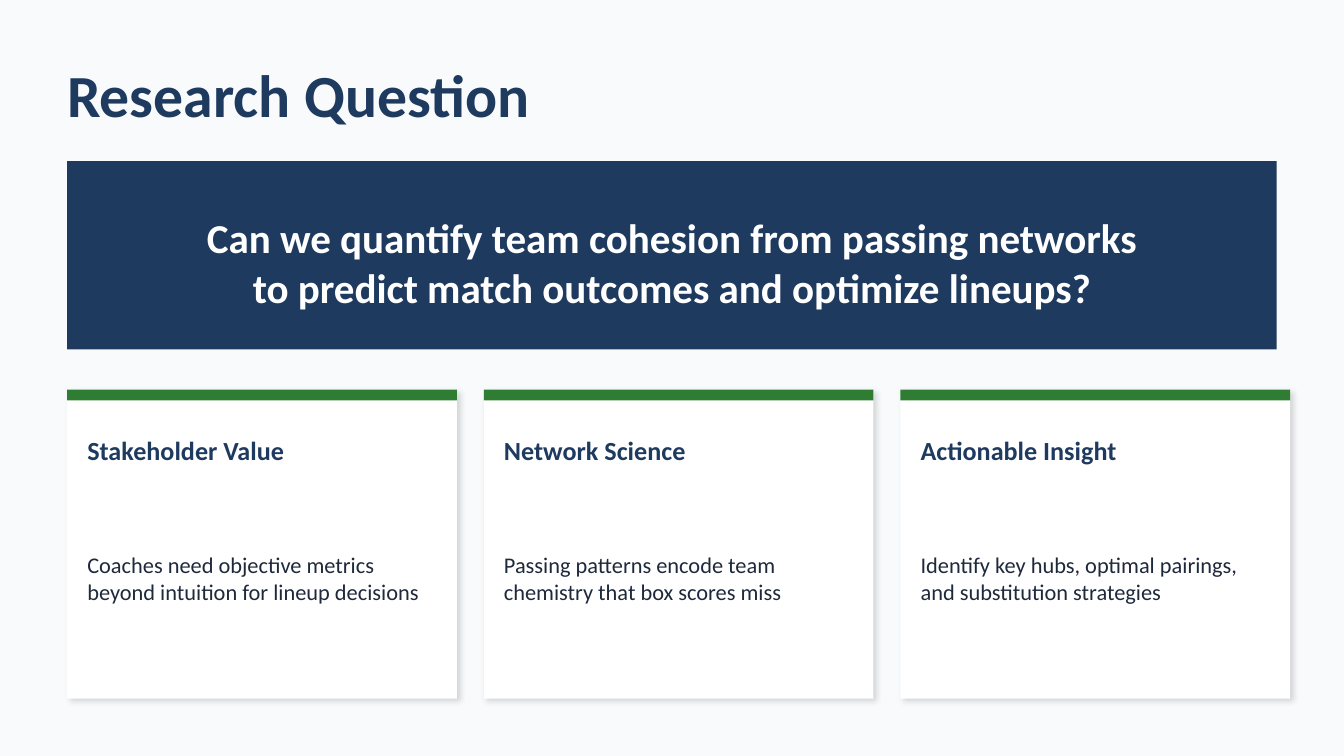
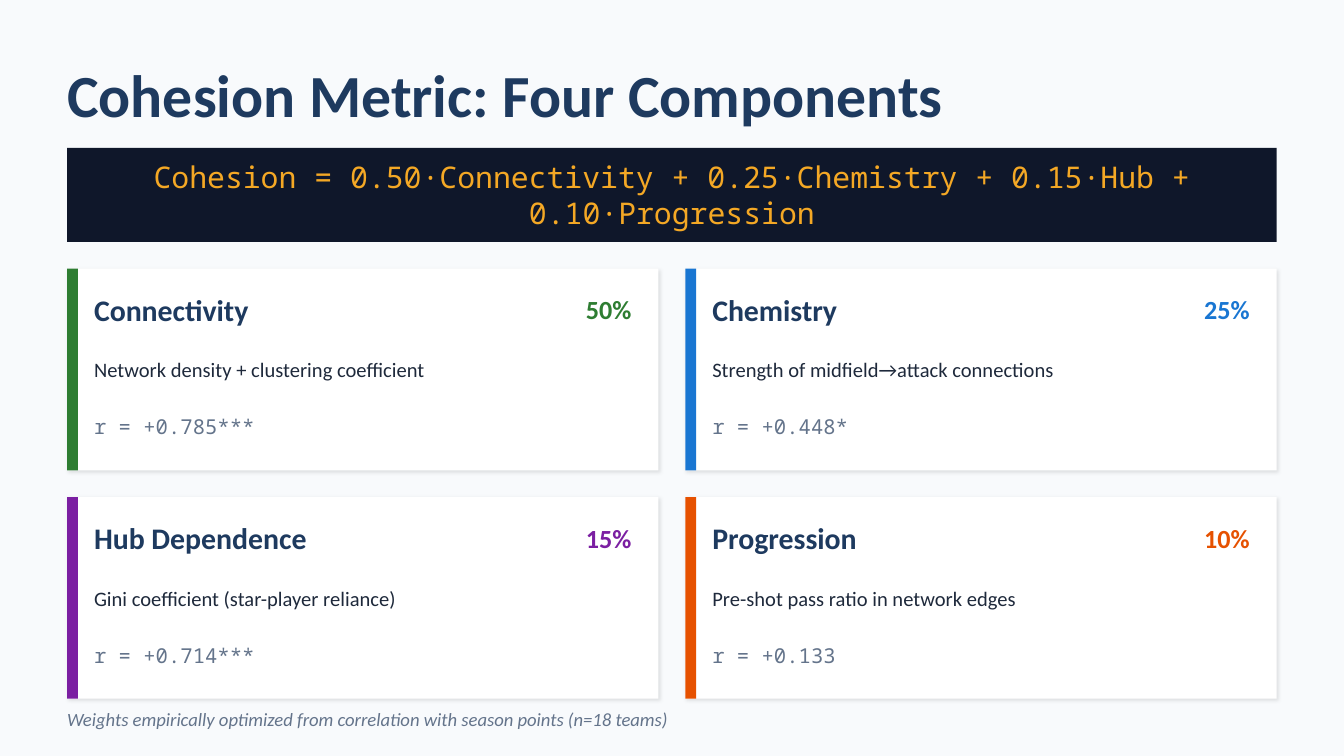
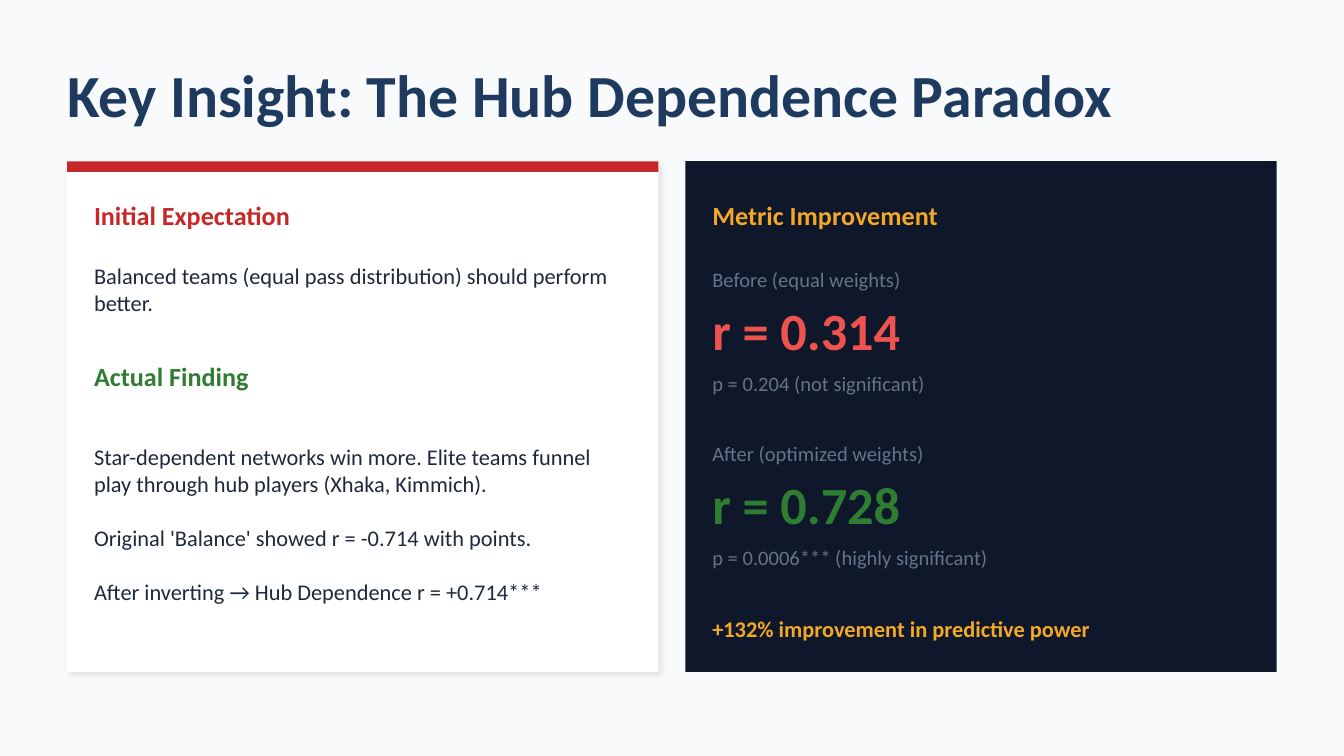
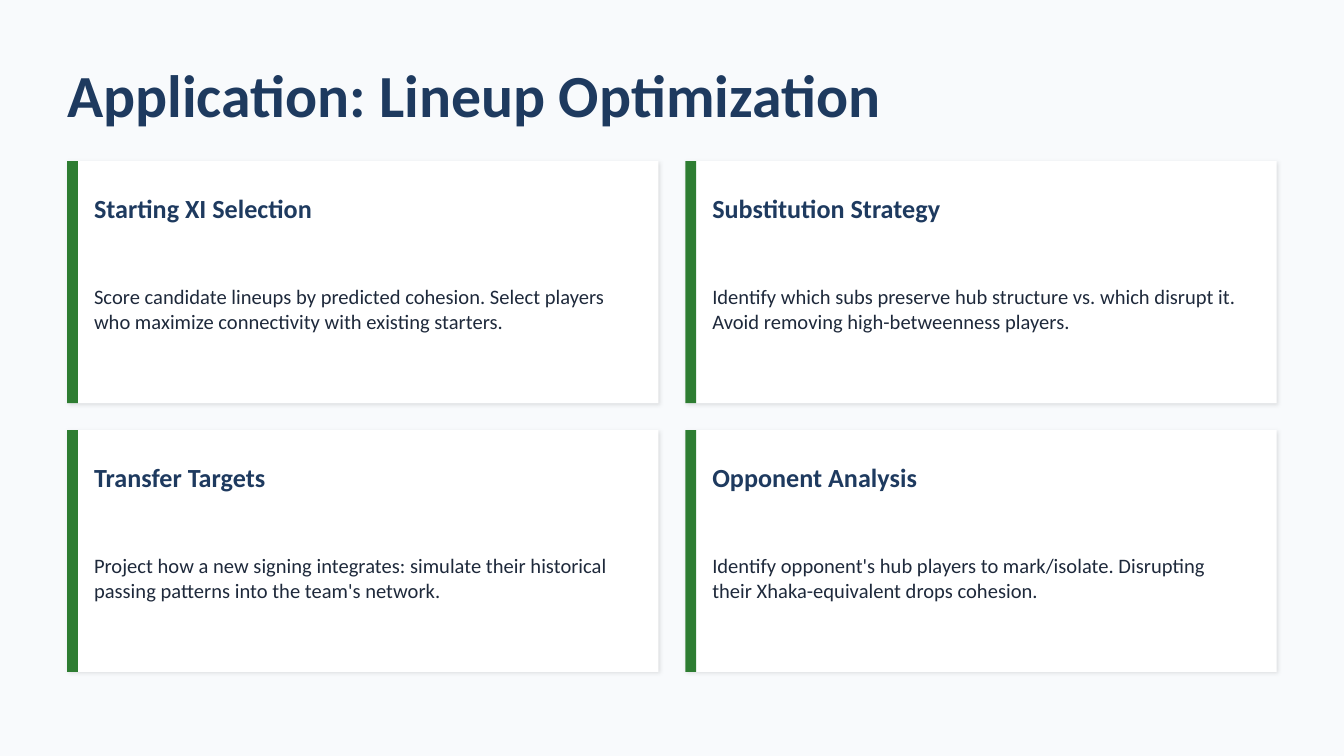
from collections import namedtuple

from lxml import etree
from pptx import Presentation
from pptx.dml.color import RGBColor
from pptx.enum.shapes import MSO_SHAPE
from pptx.enum.text import MSO_ANCHOR, MSO_AUTO_SIZE, PP_ALIGN
from pptx.oxml.ns import qn
from pptx.util import Emu, Pt

RECT = MSO_SHAPE.RECTANGLE
MIDDLE = MSO_ANCHOR.MIDDLE
NO_AUTOFIT = MSO_AUTO_SIZE.NONE
LEFT, CENTER, RIGHT = PP_ALIGN.LEFT, PP_ALIGN.CENTER, PP_ALIGN.RIGHT

PX = 4572
TITLE_ONLY = 5
SANS, MONO = "Calibri", "Noto Sans Mono"
COLORS = {
    "background": "F8FAFC",
    "navy": "1E3A5F",
    "ink": "1E293B",
    "night": "0F172A",
    "muted": "64748B",
    "white": "FFFFFF",
    "green": "2E7D32",
    "blue": "1976D2",
    "purple": "7B1FA2",
    "orange": "E65100",
    "gold": "F4A825",
    "red": "C62828",
    "coral": "EF5350",
}

Box = namedtuple("Box", "x y w h")
Shadow = namedtuple("Shadow", "opacity blur distance")

SLIDE = Box(0, 0, 2000, 1125)
TITLE = Box(100, 80, 1800, 120)
GAP = 40
STRIPE = 16
SOFT_SHADOW = Shadow(10, 2, 1)


def px(length):
    return Emu(length * PX)


def rgb(color):
    return RGBColor.from_string(COLORS[color])


def within(box, x, y, w, h):
    return Box(box.x + x, box.y + y, w, h)


def grid(box, columns, rows):
    w = (box.w - GAP * (columns - 1)) // columns
    h = (box.h - GAP * (rows - 1)) // rows
    return [within(box, column * (w + GAP), row * (h + GAP), w, h)
            for row in range(rows) for column in range(columns)]


def write(frame, lines, size, color, bold=False, italic=False, font=SANS,
          align=LEFT, space_before=0):
    frame.word_wrap = True
    frame.auto_size = NO_AUTOFIT
    frame.vertical_anchor = MIDDLE
    frame.margin_left = frame.margin_right = 0
    frame.margin_top = frame.margin_bottom = 0
    for index, line in enumerate(lines):
        paragraph = frame.add_paragraph() if index else frame.paragraphs[0]
        paragraph.text = line
        paragraph.alignment = align
        if index and space_before:
            paragraph.space_before = Pt(space_before)
        paragraph.font.name = font
        paragraph.font.size = Pt(size)
        paragraph.font.bold = bold
        paragraph.font.italic = italic
        paragraph.font.color.rgb = rgb(color)


def add_text(slide, box, lines, size, color, **style):
    if isinstance(lines, str):
        lines = [lines]
    label = slide.shapes.add_textbox(*map(px, box))
    write(label.text_frame, lines, size, color, **style)


def cast_shadow(shape, shadow):
    effects = shape._element.spPr.find(qn("a:effectLst"))
    outer = etree.SubElement(
        effects, qn("a:outerShdw"), blurRad=str(Pt(shadow.blur)),
        dist=str(Pt(shadow.distance)), dir=str(45 * 60000),
        algn="bl", rotWithShape="0")
    black = etree.SubElement(outer, qn("a:srgbClr"), val="000000")
    etree.SubElement(black, qn("a:alpha"), val=str(shadow.opacity * 1000))


def add_panel(slide, box, color, shadow=None):
    panel = slide.shapes.add_shape(RECT, *map(px, box))
    panel.fill.solid()
    panel.fill.fore_color.rgb = rgb(color)
    panel.line.fill.background()
    panel.shadow.inherit = False
    if shadow:
        cast_shadow(panel, shadow)


def add_top_card(slide, box, accent, shadow):
    add_panel(slide, box, "white", shadow)
    add_panel(slide, box._replace(h=STRIPE), accent)


def add_side_card(slide, box, accent):
    add_panel(slide, box, "white", SOFT_SHADOW)
    add_panel(slide, box._replace(w=STRIPE), accent)


def add_titled_slide(prs, heading):
    slide = prs.slides.add_slide(prs.slide_layouts[TITLE_ONLY])
    title = slide.shapes.title
    title.left, title.top, title.width, title.height = map(px, TITLE)
    write(title.text_frame, [heading], 32, "navy", bold=True)
    return slide


def add_question(slide, box):
    add_panel(slide, box, "navy")
    add_text(slide, within(box, 40, 30, box.w - 80, 240),
             ["Can we quantify team cohesion from passing networks",
              "to predict match outcomes and optimize lineups?"],
             22, "white", bold=True, align=CENTER)


def add_reason(slide, box, heading, body):
    add_top_card(slide, box, "green", Shadow(15, 3, 2))
    add_text(slide, within(box, 30, 40, box.w - 60, 100), heading, 14, "navy", bold=True)
    add_text(slide, within(box, 30, 140, box.w - 60, 280), body, 12, "ink")


def build_research_question(prs):
    slide = add_titled_slide(prs, "Research Question")
    add_question(slide, Box(100, 240, 1800, 280))
    reasons = [
        ("Stakeholder Value",
         "Coaches need objective metrics beyond intuition for lineup decisions"),
        ("Network Science",
         "Passing patterns encode team chemistry that box scores miss"),
        ("Actionable Insight",
         "Identify key hubs, optimal pairings, and substitution strategies"),
    ]
    for box, reason in zip(grid(Box(100, 580, 1820, 460), 3, 1), reasons):
        add_reason(slide, box, *reason)


def add_formula(slide, box):
    add_panel(slide, box, "night")
    add_text(slide, within(box, 0, 10, box.w, box.h - 20),
             "Cohesion = 0.50·Connectivity + 0.25·Chemistry + 0.15·Hub + 0.10·Progression",
             16, "gold", font=MONO, align=CENTER)


def add_component(slide, box, name, weight, accent, meaning, correlation):
    add_side_card(slide, box, accent)
    add_text(slide, within(box, 40, 20, 500, 80), name, 16, "navy", bold=True)
    add_text(slide, within(box, box.w - 180, 20, 140, 80), weight, 14, accent,
             bold=True, align=RIGHT)
    add_text(slide, within(box, 40, 100, box.w - 80, 100), meaning, 11, "ink")
    add_text(slide, within(box, 40, 200, 400, 70), correlation, 11, "muted", font=MONO)


def build_cohesion_metric(prs):
    slide = add_titled_slide(prs, "Cohesion Metric: Four Components")
    add_formula(slide, Box(100, 220, 1800, 140))
    components = [
        ("Connectivity", "50%", "green",
         "Network density + clustering coefficient", "r = +0.785***"),
        ("Chemistry", "25%", "blue",
         "Strength of midfield→attack connections", "r = +0.448*"),
        ("Hub Dependence", "15%", "purple",
         "Gini coefficient (star-player reliance)", "r = +0.714***"),
        ("Progression", "10%", "orange",
         "Pre-shot pass ratio in network edges", "r = +0.133"),
    ]
    for box, component in zip(grid(Box(100, 400, 1800, 640), 2, 2), components):
        add_component(slide, box, *component)
    add_text(slide, Box(100, 1040, 1800, 60),
             "Weights empirically optimized from correlation with season points (n=18 teams)",
             10, "muted", italic=True)


def add_finding(slide, box):
    add_top_card(slide, box, "red", Shadow(10, 3, 2))
    w = box.w - 80
    add_text(slide, within(box, 40, 40, w, 80), "Initial Expectation", 14, "red", bold=True)
    add_text(slide, within(box, 40, 130, w, 120),
             "Balanced teams (equal pass distribution) should perform better.", 12, "ink")
    add_text(slide, within(box, 40, 280, w, 80), "Actual Finding", 14, "green", bold=True)
    add_text(slide, within(box, 40, 360, w, 360),
             ["Star-dependent networks win more. Elite teams funnel play through "
              "hub players (Xhaka, Kimmich).",
              "Original 'Balance' showed r = -0.714 with points.",
              "After inverting → Hub Dependence r = +0.714***"],
             12, "ink", space_before=14.5)


def add_result(slide, box, stage, correlation, color, significance):
    add_text(slide, within(box, 0, 0, box.w, 70), stage, 11, "muted")
    add_text(slide, within(box, 0, 60, 400, 100), correlation, 28, color, bold=True)
    add_text(slide, within(box, 0, 160, box.w, 60), significance, 11, "muted")


def add_improvement(slide, box):
    add_panel(slide, box, "night")
    w = box.w - 80
    add_text(slide, within(box, 40, 40, w, 80), "Metric Improvement", 14, "gold", bold=True)
    results = [
        ("Before (equal weights)", "r = 0.314", "coral", "p = 0.204 (not significant)"),
        ("After (optimized weights)", "r = 0.728", "green",
         "p = 0.0006*** (highly significant)"),
    ]
    for index, result in enumerate(results):
        add_result(slide, within(box, 40, 140 + index * 260, w, 220), *result)
    add_text(slide, within(box, 40, 660, w, 70),
             "+132% improvement in predictive power", 12, "gold", bold=True)


def build_hub_paradox(prs):
    slide = add_titled_slide(prs, "Key Insight: The Hub Dependence Paradox")
    finding, improvement = grid(Box(100, 240, 1800, 760), 2, 1)
    add_finding(slide, finding)
    add_improvement(slide, improvement)


def add_use(slide, box, heading, body):
    add_side_card(slide, box, "green")
    add_text(slide, within(box, 40, 30, box.w - 80, 80), heading, 14, "navy", bold=True)
    add_text(slide, within(box, 40, 110, box.w - 80, 220), body, 11, "ink")


def build_lineup_optimization(prs):
    slide = add_titled_slide(prs, "Application: Lineup Optimization")
    uses = [
        ("Starting XI Selection",
         "Score candidate lineups by predicted cohesion. Select players who "
         "maximize connectivity with existing starters."),
        ("Substitution Strategy",
         "Identify which subs preserve hub structure vs. which disrupt it. "
         "Avoid removing high-betweenness players."),
        ("Transfer Targets",
         "Project how a new signing integrates: simulate their historical "
         "passing patterns into the team's network."),
        ("Opponent Analysis",
         "Identify opponent's hub players to mark/isolate. Disrupting their "
         "Xhaka-equivalent drops cohesion."),
    ]
    for box, use in zip(grid(Box(100, 240, 1800, 760), 2, 2), uses):
        add_use(slide, box, *use)


def main():
    prs = Presentation()
    prs.slide_width, prs.slide_height = px(SLIDE.w), px(SLIDE.h)
    backdrop = prs.slide_master.background.fill
    backdrop.solid()
    backdrop.fore_color.rgb = rgb("background")
    build_research_question(prs)
    build_cohesion_metric(prs)
    build_hub_paradox(prs)
    build_lineup_optimization(prs)
    prs.save("out.pptx")


if __name__ == "__main__":
    main()
